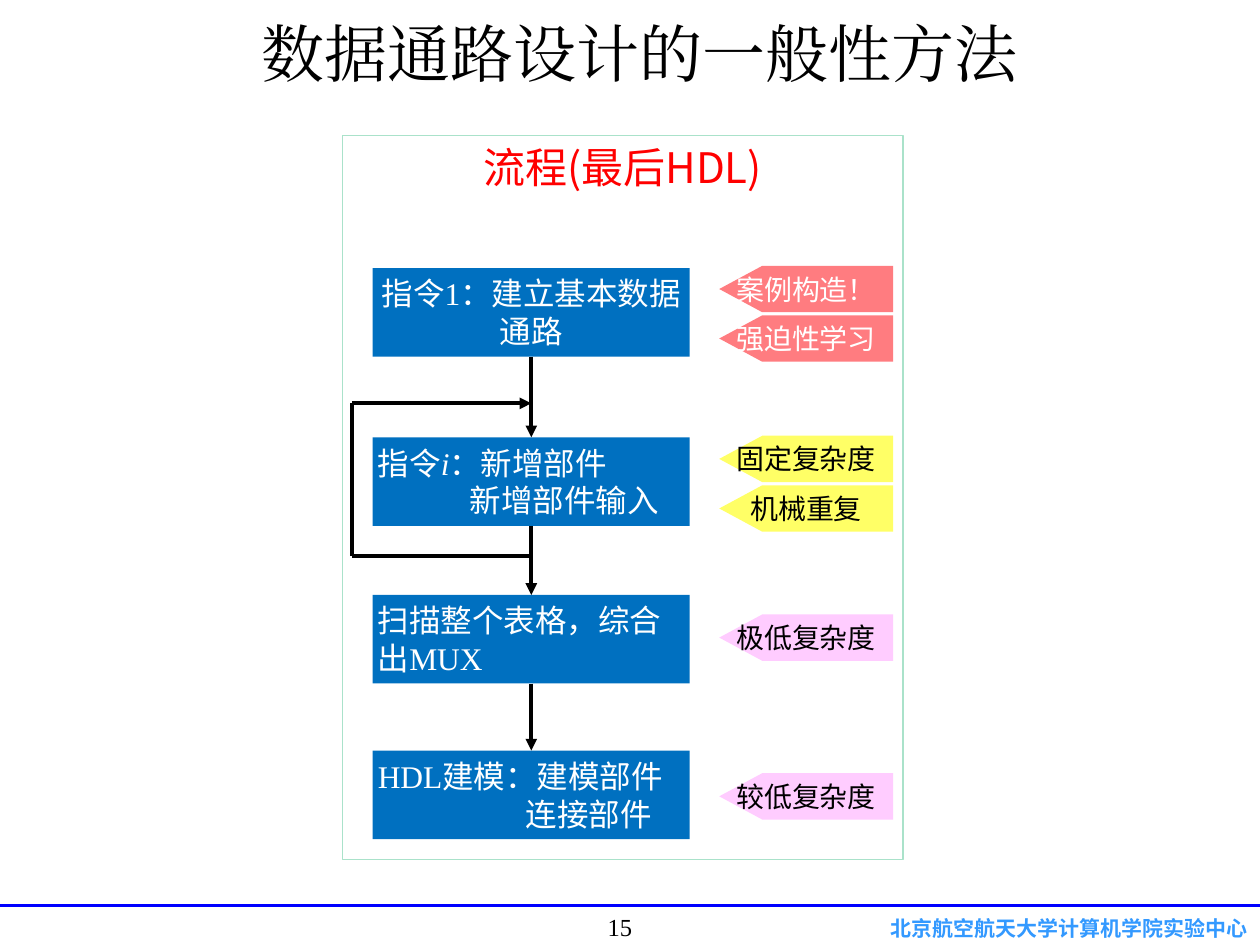
import pptx
import pptx.dml.color
import pptx.enum.shapes
import pptx.enum.text
import pptx.oxml.ns
import pptx.util
from lxml import etree

Pt = pptx.util.Pt
RGB = pptx.dml.color.RGBColor.from_string
ALIGN = pptx.enum.text.PP_ALIGN
ANCHOR = pptx.enum.text.MSO_ANCHOR
SHAPE = pptx.enum.shapes.MSO_SHAPE
qn = pptx.oxml.ns.qn

THEME = {
    "black": "000000", "white": "FFFFFF", "red": "FF0000", "blue": "0070C0",
    "rule": "0000FF", "footer": "3399FF", "border": "AAE2CA",
    "coral": "FF7C80", "yellow": "FFFF66", "pink": "FFCCFF",
    "title_size": 36, "heading_size": 24, "step_size": 18, "tag_size": 16,
    "number_size": 14, "footer_size": 12,
    "sans": "Arial", "serif": "Times New Roman", "cjk": "Noto Sans CJK SC",
}


def write_text(shape, lines, size, color, align=ALIGN.CENTER, anchor=ANCHOR.TOP,
               side=7.2, edge=3.6, wrap=True):
    """Each line is (left indent, [(text, font name, extra font values), ...])."""
    frame = shape.text_frame
    layout = {"word_wrap": wrap, "vertical_anchor": anchor, "margin_left": Pt(side),
              "margin_right": Pt(side), "margin_top": Pt(edge), "margin_bottom": Pt(edge),
              "auto_size": pptx.enum.text.MSO_AUTO_SIZE.NONE}
    for name, value in layout.items():
        setattr(frame, name, value)
    for index, (indent, runs) in enumerate(lines):
        paragraph = frame.add_paragraph() if index else frame.paragraphs[0]
        paragraph.alignment = align
        if indent:
            paragraph._p.get_or_add_pPr().set("marL", str(Pt(indent)))
        for text, face, extra in runs:
            run = paragraph.add_run()
            run.text = text
            values = {"name": THEME[face], "size": Pt(size), **extra}
            for name, value in values.items():
                setattr(run.font, name, value)
            run.font.color.rgb = RGB(THEME[color])
            # East Asian characters use the same face
            latin = run._r.rPr.find(qn("a:latin"))
            east_asian = etree.Element(qn("a:ea"), typeface=THEME[face])
            latin.addnext(east_asian)


def add_line(start, end, color="black", width=2.25, arrow=False):
    connector = slide.shapes.add_connector(
        pptx.enum.shapes.MSO_CONNECTOR.STRAIGHT, *map(Pt, start + end))
    connector.line.color.rgb = RGB(THEME[color])
    connector.line.width = Pt(width)
    if arrow:
        etree.SubElement(connector.line._get_or_add_ln(), qn("a:tailEnd"), type="triangle")
    etree.SubElement(connector._element.spPr, qn("a:effectLst"))


presentation = pptx.Presentation()
presentation.slide_width, presentation.slide_height = Pt(720), Pt(540)
slide = presentation.slides.add_slide(presentation.slide_layouts[5])

# Title
title = slide.shapes.title
title.left, title.top, title.width, title.height = Pt(16.6), Pt(3.6), Pt(697.7), Pt(52.6)
write_text(title, [(0, [("数据通路设计的一般性方法", "serif", {})])],
           THEME["title_size"], "black", anchor=ANCHOR.MIDDLE)

# Footer
add_line((720, 517.5), (0, 517.5), "rule", 1.5)
footer = slide.shapes.add_textbox(Pt(326.2), Pt(523.4), Pt(393.8), Pt(14.4))
write_text(footer, [(0, [("北京航空航天大学计算机学院实验中心", "cjk", {"bold": True})])],
           THEME["footer_size"], "footer", align=ALIGN.RIGHT, edge=0)
number = slide.shapes.add_textbox(Pt(269.3), Pt(517.7), Pt(169.9), Pt(20.2))
write_text(number, [(0, [("15", "serif", {})])], THEME["number_size"], "black")

# Panel with heading
panel = slide.shapes.add_shape(SHAPE.RECTANGLE, Pt(195.6), Pt(77.4), Pt(320.4), Pt(413.8))
panel.shadow.inherit = False
panel.fill.solid()
panel.fill.fore_color.rgb = RGB(THEME["white"])
panel.line.color.rgb = RGB(THEME["border"])
panel.line.width = Pt(0.75)
write_text(panel, [(0, [("流程(最后HDL)", "cjk", {})])],
           THEME["heading_size"], "red", wrap=False)

# Step boxes
BOX_LEFT, BOX_WIDTH, BOX_HEIGHT = 213, 181.2, 50.6
AXIS = BOX_LEFT + BOX_WIDTH / 2
steps = [
    (153.2, ALIGN.CENTER, [(0, [("指令", "sans", {}), ("1", "serif", {}),
                                ("：建立基本数据通路", "sans", {})])]),
    (249.9, ALIGN.LEFT, [(0, [("指令", "sans", {}), ("i", "serif", {"italic": True}),
                              ("：新增部件", "sans", {})]),
                         (52.5, [("新增部件输入", "sans", {})])]),
    (340, ALIGN.LEFT, [(0, [("扫描整个表格，综合出", "sans", {}), ("MUX", "serif", {})])]),
    (428.9, ALIGN.LEFT, [(0, [("HDL", "serif", {}), ("建模：建模部件", "sans", {})]),
                         (84.5, [("连接部件", "sans", {})])]),
]
for top, align, lines in steps:
    box = slide.shapes.add_shape(SHAPE.RECTANGLE, Pt(BOX_LEFT), Pt(top),
                                 Pt(BOX_WIDTH), Pt(BOX_HEIGHT))
    box.shadow.inherit = False
    box.fill.solid()
    box.fill.fore_color.rgb = RGB(THEME["blue"])
    box.line.fill.background()
    write_text(box, lines, THEME["step_size"], "white", align=align, side=2.9)

# Arrows from each step to the next
for (top, *_), (next_top, *_) in zip(steps, steps[1:]):
    add_line((AXIS, top + BOX_HEIGHT), (AXIS, next_top), arrow=True)

# Loop back around the second step
LOOP_LEFT, LOOP_TOP, LOOP_BOTTOM = 201.4, 230.5, 317.8
add_line((AXIS, LOOP_BOTTOM), (LOOP_LEFT, LOOP_BOTTOM))
add_line((LOOP_LEFT, LOOP_BOTTOM), (LOOP_LEFT, LOOP_TOP))
add_line((LOOP_LEFT, LOOP_TOP), (AXIS, LOOP_TOP), arrow=True)

# Comment tags pointing left
TAG_TIP, TAG_SHOULDER, TAG_RIGHT, TAG_HEIGHT = 411, 435.6, 510.3, 26.5
tags = [
    (151.9, "案例构造！", "coral", "white"),
    (180.2, "强迫性学习", "coral", "white"),
    (249, "固定复杂度", "yellow", "black"),
    (277.3, "机械重复", "yellow", "black"),
    (351.1, "极低复杂度", "pink", "black"),
    (441.8, "较低复杂度", "pink", "black"),
]
for top, text, fill, color in tags:
    bottom = top + TAG_HEIGHT
    outline = slide.shapes.build_freeform(Pt(TAG_RIGHT), Pt(top))
    corners = [(TAG_SHOULDER, top), (TAG_TIP, top + TAG_HEIGHT / 2),
               (TAG_SHOULDER, bottom), (TAG_RIGHT, bottom)]
    outline.add_line_segments([(Pt(x), Pt(y)) for x, y in corners], close=True)
    tag = outline.convert_to_shape()
    tag.shadow.inherit = False
    tag.fill.solid()
    tag.fill.fore_color.rgb = RGB(THEME[fill])
    tag.line.fill.background()
    write_text(tag, [(0, [(text, "sans", {})])], THEME["tag_size"], color, side=2.9)

presentation.save("out.pptx")
